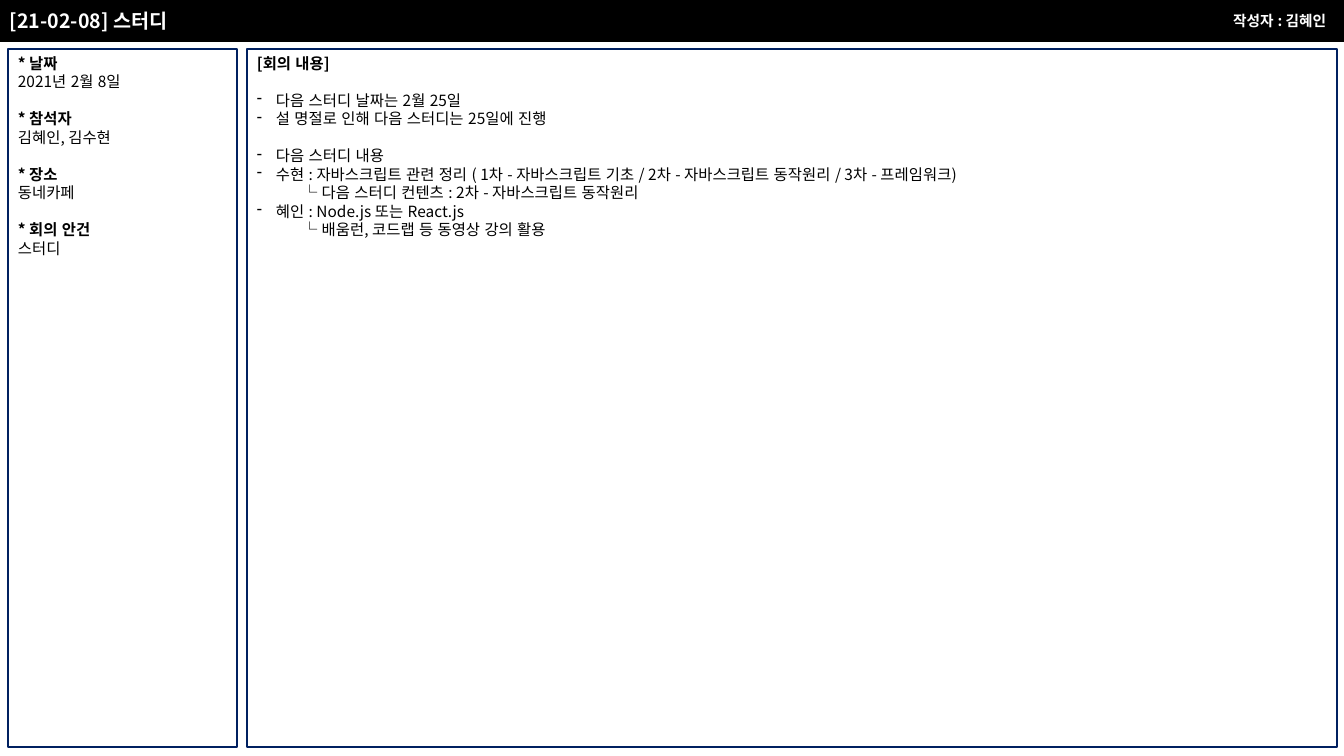
from lxml.etree import SubElement
from pptx import Presentation
from pptx.dml.color import RGBColor
from pptx.enum.shapes import MSO_SHAPE as Shape
from pptx.enum.text import MSO_ANCHOR as Anchor, MSO_AUTO_SIZE as AutoSize, PP_ALIGN as Align
from pptx.oxml.ns import qn
from pptx.util import Pt

PIXEL = 9071
FONT = "Noto Sans CJK KR"
BLACK = RGBColor(0x00, 0x00, 0x00)
WHITE = RGBColor(0xFF, 0xFF, 0xFF)
NAVY = RGBColor(0x00, 0x20, 0x60)
LINE_HEIGHT = Pt(13.2)
BULLET_INDENT = 19
DETAIL_INDENT = 45

DETAILS = [
    ("* 날짜", "2021년 2월 8일"),
    ("* 참석자", "김혜인, 김수현"),
    ("* 장소", "동네카페"),
    ("* 회의 안건", "스터디"),
]
MINUTES = [
    [
        ("bullet", "다음 스터디 날짜는 2월 25일"),
        ("bullet", "설 명절로 인해 다음 스터디는 25일에 진행"),
    ],
    [
        ("bullet", "다음 스터디 내용"),
        ("bullet", "수현 : 자바스크립트 관련 정리 ( 1차 - 자바스크립트 기초 / "
                   "2차 - 자바스크립트 동작원리 / 3차 - 프레임워크)"),
        ("detail", "└ 다음 스터디 컨텐츠 : 2차 - 자바스크립트 동작원리"),
        ("bullet", "혜인 : Node.js 또는 React.js"),
        ("detail", "└ 배움런, 코드랩 등 동영상 강의 활용"),
    ],
]


def scale(box):
    """Turn a box of pixels into EMU."""
    return [value * PIXEL for value in box]


def add_rectangle(slide, box, fill, line=None):
    """Add a plain rectangle, outlined when a line colour is given."""
    shape = slide.shapes.add_shape(Shape.RECTANGLE, *scale(box))
    shape.shadow.inherit = False
    shape.fill.solid()
    shape.fill.fore_color.rgb = fill
    if line is None:
        shape.line.fill.background()
    else:
        shape.line.color.rgb = line
        shape.line.width = Pt(1)
    return shape


def add_text_box(slide, box):
    """Add a wrapping text box and return its frame."""
    frame = slide.shapes.add_textbox(*scale(box)).text_frame
    frame.word_wrap = True
    frame.auto_size = AutoSize.SHAPE_TO_FIT_TEXT
    return frame


def write(frame, text, size=11, bold=False, color=BLACK, align=Align.LEFT,
          gap=False, indent=0, bullet=False):
    """Write one paragraph, filling the first one while it is empty."""
    paragraph = frame.paragraphs[-1]
    if paragraph.runs:
        paragraph = frame.add_paragraph()
    paragraph.alignment = align
    paragraph.line_spacing = Pt(size * 1.2)
    if gap:
        paragraph.space_before = LINE_HEIGHT
    run = paragraph.add_run()
    run.text = text
    font = run.font
    font.size, font.bold, font.name = Pt(size), bold, FONT
    font.color.rgb = color
    properties = run._r.get_or_add_rPr()
    properties.set("lang", "ko-KR")
    SubElement(properties, qn("a:ea"), typeface=FONT)
    if indent:
        layout = paragraph._p.get_or_add_pPr()
        layout.set("marL", str(indent * PIXEL))
        if bullet:
            layout.set("indent", str(-indent * PIXEL))
            SubElement(layout, qn("a:buFontTx"))
            SubElement(layout, qn("a:buChar"), char="-")


def add_header(slide, box):
    """Add the black bar with the title and the author."""
    left, top, width, height = box
    bar = add_rectangle(slide, box, BLACK).text_frame
    bar.vertical_anchor = Anchor.MIDDLE
    write(bar, "[21-02-08] 스터디", size=14, bold=True, color=WHITE)
    author = add_text_box(slide, (left + width - 148, top + 7, 140, 28))
    write(author, "작성자 : 김혜인", size=10.5, bold=True, color=WHITE, align=Align.RIGHT)


def add_details(slide, box):
    """Add the panel with date, people, place and agenda."""
    left, top, width, _ = box
    add_rectangle(slide, box, WHITE, NAVY)
    frame = add_text_box(slide, (left, top, width, 216))
    for index, (heading, value) in enumerate(DETAILS):
        write(frame, heading, bold=True, gap=index > 0)
        write(frame, value)


def add_minutes(slide, box):
    """Add the panel with the minutes of the meeting."""
    left, top, width, _ = box
    add_rectangle(slide, box, WHITE, NAVY)
    frame = add_text_box(slide, (left, top, width, 197))
    write(frame, "[회의 내용]", bold=True)
    for group in MINUTES:
        for index, (kind, text) in enumerate(group):
            bullet = kind == "bullet"
            write(frame, text, gap=index == 0, bullet=bullet,
                  indent=BULLET_INDENT if bullet else DETAIL_INDENT)


def main():
    """Build the slide and save it."""
    presentation = Presentation()
    presentation.slide_width, presentation.slide_height = scale((1344, 756))
    slide = presentation.slides.add_slide(presentation.slide_layouts[6])
    add_header(slide, (0, 0, 1344, 42))
    add_minutes(slide, (247, 49, 1090, 698))
    add_details(slide, (8, 49, 229, 698))
    presentation.save("out.pptx")


main()
